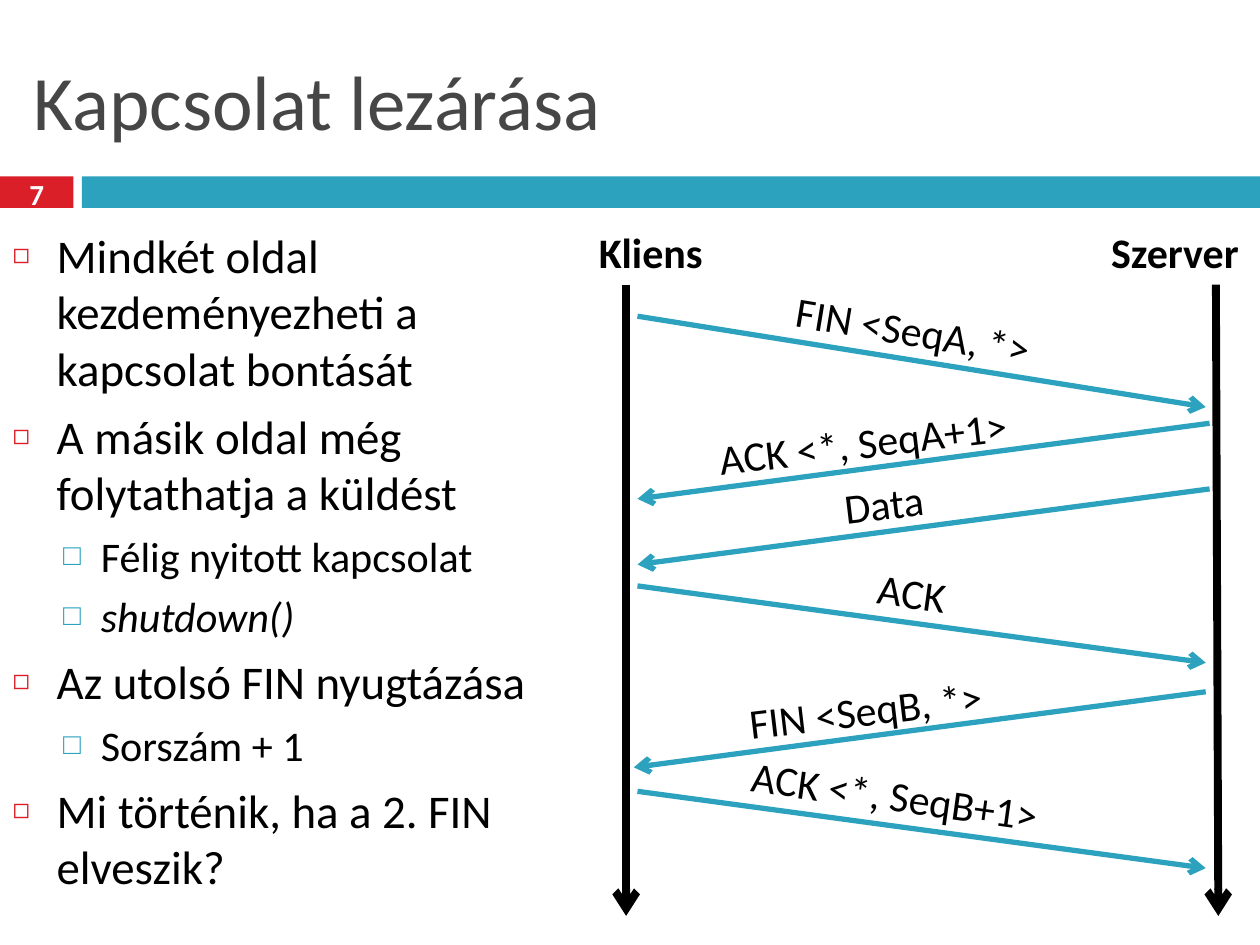
import pptx
import pptx.util
import pptx.dml.color
import pptx.enum.shapes
import pptx.enum.text
import pptx.oxml.ns
from lxml import etree

Pt = pptx.util.Pt
TEXT = pptx.enum.text
SHAPE = pptx.enum.shapes


class Theme:
    font = "Calibri"
    red, teal = "DA1F28", "2DA2BF"
    black, white, grey = "000000", "FFFFFF", "464646"
    title, label, page = 44, 24, 16.6
    # One entry per list level: format of text and bullet
    level = (
        dict(size=26.8, char="◻", color=red, scale=60, left=25.2, hang=25.2, gap=7),
        dict(size=24.1, char="□", color=teal, scale=70, left=50.4, hang=21.6, gap=5.5),
    )


def tint(code):
    return pptx.dml.color.RGBColor.from_string(code)


def sub(node, tag, **attrs):
    return etree.SubElement(node, pptx.oxml.ns.qn(tag), attrs)


def apply(item, form):
    for name, value in form.items():
        setattr(item, name, value)


class Deck:
    def __init__(self, theme):
        self.theme = theme
        self.file = pptx.Presentation()
        apply(self.file, dict(slide_width=Pt(720), slide_height=Pt(540)))
        self.slide = self.file.slides.add_slide(self.file.slide_layouts[1])

    def place(self, shape, left, top, width, height):
        apply(shape, dict(left=Pt(left), top=Pt(top),
                          width=Pt(width), height=Pt(height)))

    def style(self, para, size, color, **form):
        apply(para.font, dict(name=self.theme.font, size=Pt(size), **form))
        para.font.color.rgb = tint(color)

    def bar(self, left, top, width, height, color):
        shape = self.slide.shapes.add_shape(
            SHAPE.MSO_SHAPE.RECTANGLE, Pt(left), Pt(top), Pt(width), Pt(height))
        shape.shadow.inherit = False
        shape.fill.solid()
        shape.fill.fore_color.rgb = tint(color)
        shape.line.fill.background()

    def title(self, text, *box):
        shape = self.slide.shapes.title
        self.place(shape, *box)
        frame = shape.text_frame
        frame.text = text
        apply(frame, dict(auto_size=TEXT.MSO_AUTO_SIZE.NONE,
                          vertical_anchor=TEXT.MSO_ANCHOR.MIDDLE))
        para = frame.paragraphs[0]
        para.alignment = TEXT.PP_ALIGN.LEFT
        self.style(para, self.theme.title, self.theme.grey)

    def bullets(self, items, *box):
        shape = self.slide.placeholders[1]
        self.place(shape, *box)
        frame = shape.text_frame
        frame.auto_size = TEXT.MSO_AUTO_SIZE.NONE
        for i, (depth, text, form) in enumerate(items):
            para = frame.add_paragraph() if i else frame.paragraphs[0]
            para.text = text
            look = self.theme.level[depth]
            apply(para, dict(level=depth, space_before=Pt(look["gap"] if i else 0)))
            props = para._p.get_or_add_pPr()
            props.set("marL", str(Pt(look["left"])))
            props.set("indent", str(-Pt(look["hang"])))
            sub(sub(props, "a:buClr"), "a:srgbClr", val=look["color"])
            sub(props, "a:buSzPct", val=str(look["scale"] * 1000))
            sub(props, "a:buChar", char=look["char"])
            self.style(para, look["size"], self.theme.black, **form)

    def label(self, text, left, top, width, height=36, size=Theme.label,
              color=Theme.black, turn=0, center=False, **form):
        shape = self.slide.shapes.add_textbox(
            Pt(left), Pt(top), Pt(width), Pt(height))
        shape.rotation = turn
        frame = shape.text_frame
        frame.text = text
        apply(frame, dict(word_wrap=False,
                          vertical_anchor=TEXT.MSO_ANCHOR.MIDDLE))
        para = frame.paragraphs[0]
        para.alignment = TEXT.PP_ALIGN.CENTER if center else TEXT.PP_ALIGN.LEFT
        self.style(para, size, color, **form)

    def arrow(self, x1, y1, x2, y2, color, width):
        line = self.slide.shapes.add_connector(
            SHAPE.MSO_CONNECTOR.STRAIGHT, Pt(x1), Pt(y1), Pt(x2), Pt(y2))
        line.line.color.rgb = tint(color)
        line.line.width = Pt(width)
        sub(line.line._get_or_add_ln(), "a:tailEnd", type="arrow")
        sub(line._element.spPr, "a:effectLst")


def main():
    theme = Theme()
    deck = Deck(theme)

    # Title band and page number
    deck.bar(0, 100.8, 42, 18, theme.red)
    deck.bar(46.8, 100.8, 673.2, 18, theme.teal)
    deck.title("Kapcsolat lezárása", 12, 18, 696, 78)
    deck.label("7", 0, 98.6, 42, 24, theme.page, theme.white,
               center=True, bold=True)

    # Bullet list
    deck.bullets([
        (0, "Mindkét oldal kezdeményezheti a kapcsolat bontását", {}),
        (0, "A másik oldal még folytathatja a küldést", {}),
        (1, "Félig nyitott kapcsolat", {}),
        (1, "shutdown()", dict(italic=True)),
        (0, "Az utolsó FIN nyugtázása", {}),
        (1, "Sorszám + 1", {}),
        (0, "Mi történik, ha a 2. FIN elveszik?", {}),
    ], 0, 126, 330.5, 402)

    # Time lines of both ends: name, label left and width, line top and foot
    for name, left, width, head, foot in (
            ("Kliens", 333.4, 77, 357.8, 357.8),
            ("Szerver", 626.4, 90, 694.8, 696.2)):
        deck.arrow(head, 162.7, foot, 523.4, theme.black, 4.5)
        deck.label(name, left, 126, width, center=True, bold=True)

    # Messages: text, start, end, then label left, top, width and turn
    near, far = 364.3, 689
    for text, start, end, left, top, width, turn in (
            ("FIN <SeqA, *>", (near, 180.7), (far, 232.6), 447.1, 172.1, 170.6, 9.4),
            ("ACK <*, SeqA+1>", (691.2, 241.9), (near, 285.1), 403.2, 232.6, 209.5, -6.9),
            ("Data", (691.2, 279.4), (near, 322.6), 475.2, 269.3, 65.5, -6.9),
            ("ACK", (near, 334.8), (far, 378.7), 494.6, 321.1, 64.1, 8),
            ("FIN <SeqB, *>", (far, 395.3), (362.2, 438.5), 420.5, 385.9, 170.6, -6.9),
            ("ACK <*, SeqB+1>", (near, 452.2), (far, 496.1), 421.9, 438.5, 209.5, 8)):
        deck.arrow(*start, *end, theme.teal, 3)
        deck.label(text, left, top, width, turn=turn)

    deck.file.save("out.pptx")


if __name__ == "__main__":
    main()
